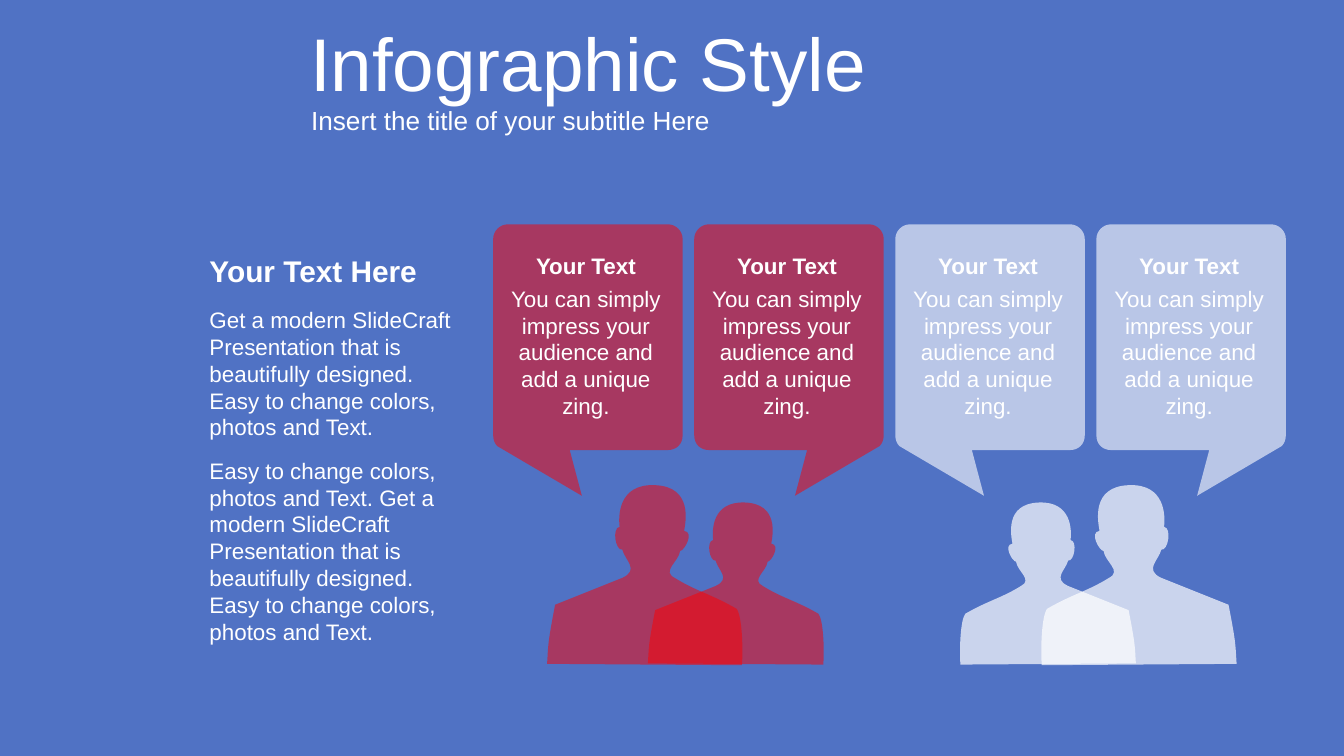
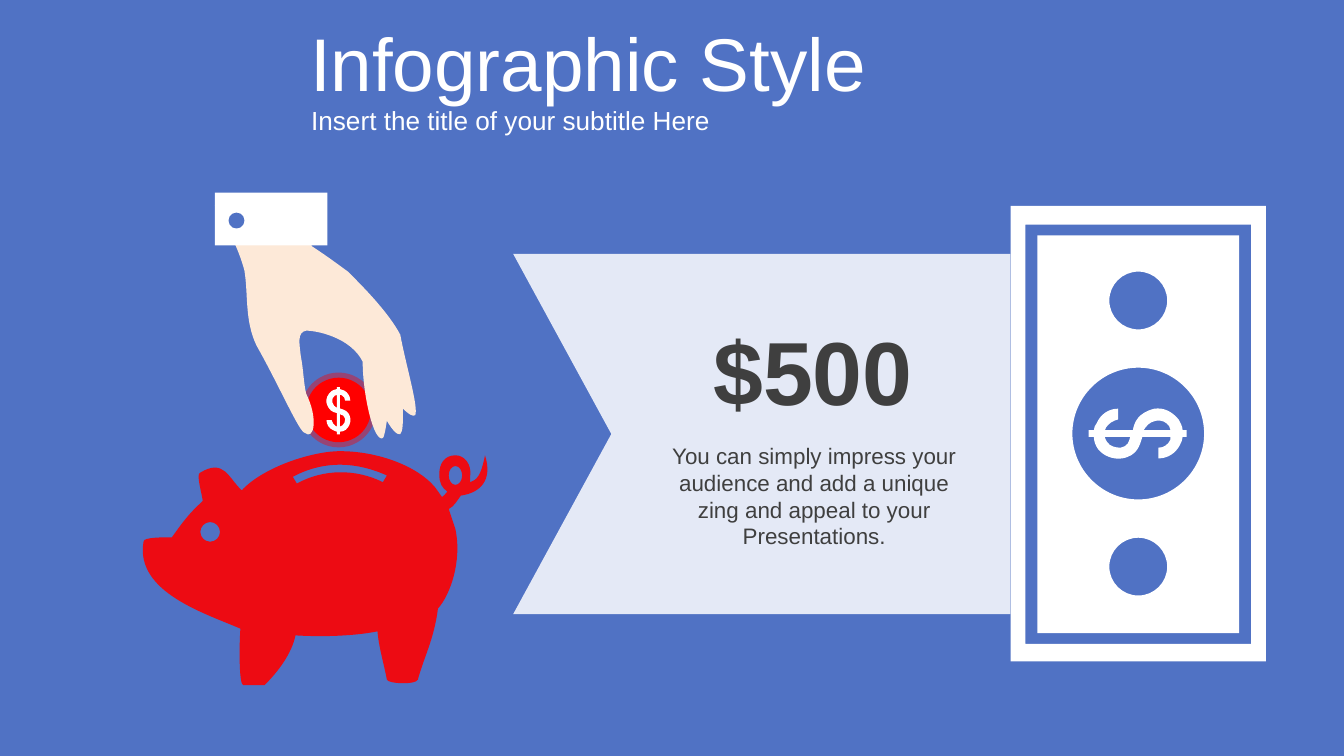
from lxml import etree
from pptx import Presentation
from pptx.dml.color import RGBColor
from pptx.enum.shapes import MSO_SHAPE
from pptx.enum.text import MSO_ANCHOR, MSO_AUTO_SIZE, PP_ALIGN
from pptx.oxml.ns import qn
from pptx.util import Cm, Pt

RECT = MSO_SHAPE.RECTANGLE
OVAL = MSO_SHAPE.OVAL
MIDDLE = MSO_ANCHOR.MIDDLE
FIXED = MSO_AUTO_SIZE.NONE
LEFT = PP_ALIGN.LEFT
CENTER = PP_ALIGN.CENTER

FONT = "Arial"
COLORS = {
    "blue": "5072C4",
    "white": "FFFFFF",
    "red": "FF0000",
    "skin": "FDE9D8",
    "gray": "3F3F3F",
}
UNIT = Cm(0.0254)
BEND = 0.55

PERSON = """M 145 134 C 146 121 145 97 141 92 C 122 81 111 79 95 69
C 85 64 98 57 99 49 C 102 49 110 35 102 34 C 103 28 109 1 80 0
C 53 -1 53 23 54 31 C 48 32 51 49 56 48 C 58 56 69 63 56 69
L 6 89 C 0 120 1 119 0 133"""

BUBBLE = """M 11 0 L 130 0 C 136 0 141 5 141 11 L 141 157
C 141 164 136 168 130 168 L 57 168 L 66 202 L 3 165
C 1 163 0 160 0 157 L 0 11 C 0 5 5 0 11 0"""

PIG = """M 147 10 C 135 10 123 13 112 19 L 115 24 C 135 13 159 13 179 23
L 182 18 C 171 13 159 10 147 10
M 144 0 C 172 -1 204 10 218 27 L 223 34 C 225 33 225 32 227 30
C 223 27 221 24 221 17 C 221 9 225 3 233 3 C 240 3 245 10 244 18
C 244 22 244 20 244 23 C 246 21 251 24 255 3 C 261 22 251 31 237 33
C 234 37 232 41 228 43 L 233 58 C 238 82 229 107 220 117
C 217 140 210 152 205 170 C 203 174 183 173 182 170
C 180 159 176 146 175 134 C 155 138 130 138 114 137
C 111 151 101 164 91 174 L 75 174 C 72 173 72 146 73 132
C 48 121 -6 105 1 67 C 1 64 15 64 22 64 C 30 53 34 47 45 37
C 44 30 40 17 43 16 C 61 5 64 20 74 29 C 90 12 124 1 144 0"""

HAND = """M 72 0 L 72 39 C 81 45 84 47 99 58 C 110 69 129 88 138 105
C 142 127 152 160 149 165 C 147 166 144 164 140 160
C 140 170 140 177 138 179 C 136 180 132 176 128 169
C 127 176 126 181 125 182 C 118 185 110 149 110 125
C 101 107 76 102 68 102 C 61 103 63 112 64 121 C 66 131 66 141 68 149
C 77 167 74 184 67 178 C 63 178 48 143 31 113 C 22 94 25 75 22 57
C 17 39 10 27 0 9"""

DOLLAR = """M 31 21 L 12 21 C 13 23 13 24 14 25 C 16 28 20 29 24 29
C 29 28 30 25 31 21
M 61 16 C 61 15 61 14 60 13 C 58 10 54 8 50 9 C 45 10 43 13 41 16
M 73 16 L 73 21 L 70 21 C 70 23 69 25 68 27 C 65 33 59 37 52 37
L 52 29 C 56 29 59 27 61 23 C 61 23 61 22 61 21 L 40 21
C 38 28 36 35 25 37 C 18 38 11 35 7 30 C 5 27 4 24 4 21 L 0 21
L 0 16 L 4 16 C 4 14 5 12 6 11 C 9 4 15 0 22 0 L 22 8
C 18 9 15 11 13 14 C 13 15 12 16 12 16 L 33 16 C 34 10 37 3 49 0
C 56 -1 62 2 67 8 C 68 10 70 13 70 16"""

BANNER = "M 0 0 L 370 0 L 370 268 L 0 268 L 73 134"


def trace(text):
    loops = []
    for part in text.replace("C", "|C").replace("L", "|L").split("M")[1:]:
        loop = []
        for piece in part.split("|"):
            nums = [float(n) for n in piece.strip("CL \n").split()]
            mark = "C" if piece.startswith("C") else "L"
            loop += [(mark, x, y) for x, y in zip(nums[::2], nums[1::2])]
        loops.append(loop)
    return loops


def ring(x, y, rx, ry):
    loop = [("L", x + rx, y)]
    a, b = 1, 0
    for _ in range(4):
        c, d = -b, a
        for u, v in ((a + BEND * c, b + BEND * d), (c + BEND * a, d + BEND * b), (c, d)):
            loop.append(("C", x + rx * u, y + ry * v))
        a, b = c, d
    return loop


def frame(x, y, w, h):
    return [("L", x, y), ("L", x + w, y), ("L", x + w, y + h), ("L", x, y + h)]


def remap(loops, rule):
    return [[(mark, *rule(x, y)) for mark, x, y in loop] for loop in loops]


def fade(node, alpha):
    if alpha < 100:
        color = next(node.iter(qn("a:srgbClr")))
        etree.SubElement(color, qn("a:alpha")).set("val", str(alpha * 1000))


def paint(shape, tone, alpha=100):
    shape.shadow.inherit = False
    shape.fill.solid()
    shape.fill.fore_color.rgb = RGBColor.from_string(COLORS[tone])
    shape.line.fill.background()
    fade(shape.fill._xPr, alpha)


def curve(shape, loops):
    track = next(shape._element.iter(qn("a:path")))
    nodes = [node for node in track if node.tag != qn("a:close")]
    marks = [mark for loop in loops for mark, _, _ in loop]
    bends = [node for node, mark in zip(nodes, marks) if mark == "C"]
    for i in range(0, len(bends), 3):
        arc = etree.Element(qn("a:cubicBezTo"))
        bends[i].addprevious(arc)
        for node in bends[i:i + 3]:
            arc.append(node[0])
            track.remove(node)


def draw(slide, loops, x, y, tone, alpha=100):
    loops = remap(loops, lambda a, b: (round(a * UNIT), round(b * UNIT)))
    pen = slide.shapes.build_freeform(*loops[0][0][1:])
    for i, loop in enumerate(loops):
        if i:
            pen.move_to(*loop[0][1:])
        pen.add_line_segments([dot[1:] for dot in loop[1:]], close=True)
    shape = pen.convert_to_shape(Cm(x), Cm(y))
    curve(shape, loops)
    paint(shape, tone, alpha)


def form(slide, kind, x, y, w, h, tone):
    shape = slide.shapes.add_shape(kind, Cm(x), Cm(y), Cm(w), Cm(h))
    paint(shape, tone)
    return shape


def style(shape, text, size, tone="white", bold=False, align=LEFT):
    body = shape.text_frame
    body.text = text
    body.word_wrap = True
    body.auto_size = FIXED
    for para in body.paragraphs:
        para.alignment = align
        for run in para.runs:
            run.font.name = FONT
            run.font.size = Pt(size)
            run.font.bold = bold
            run.font.color.rgb = RGBColor.from_string(COLORS[tone])
    return body


def write(slide, text, x, y, w, h, size=12, **look):
    box = slide.shapes.add_textbox(Cm(x), Cm(y), Cm(w), Cm(h))
    return style(box, text, size, **look)


def header(slide, x, y):
    title = slide.shapes.title
    title.left, title.top = Cm(x), Cm(y)
    title.width, title.height = Cm(19.79), Cm(1.68)
    top = style(title, "Infographic Style", 40)
    sub = write(slide, "Insert the title of your subtitle Here",
                x + 0.02, y + 1.55, 19.71, 0.79, 14)
    for body in (top, sub):
        body.vertical_anchor = MIDDLE
        body.margin_left = body.margin_right = Cm(0.25)
        body.margin_top = body.margin_bottom = Cm(0.25)


def pair(slide, x, y, tone, alpha, flip):
    for left, top, scale in ((75, 13, 0.9), (0, 0, 1)):
        def place(a, b):
            a = left + a * scale
            return (206 - a if flip else a), top + b * scale
        draw(slide, remap(trace(PERSON), place), x, y, tone, alpha)


def bubble(slide, x, y, tone, alpha, flip):
    loops = trace(BUBBLE)
    if flip:
        loops = remap(loops, lambda a, b: (141 - a, b))
    draw(slide, loops, x, y, tone, alpha)
    write(slide, "You can simply impress your audience and add a unique zing.",
          x + 0.03, y + 1.02, 3.45, 2.82, align=CENTER)
    write(slide, "Your Text", x + 0.03, y + 0.41, 3.45, 0.76,
          bold=True, align=CENTER)


def story(slide, x, y):
    write(slide, "Your Text Here", x, y, 5.41, 0.94, 16, bold=True)
    write(slide, "Get a modern SlideCraft Presentation that is beautifully "
          "designed.\vEasy to change colors, photos and Text.",
          x, y + 1.01, 5.41, 2.82)
    write(slide, "Easy to change colors, photos and Text. Get a modern "
          "SlideCraft Presentation that is beautifully designed.\v"
          "Easy to change colors, photos and Text.",
          x, y + 3.86, 5.41, 3.84)


def piggy(slide, x, y):
    loops = [ring(50.5, 60, 7.3, 7.3), ring(233, 18, 5, 7)] + trace(PIG)
    draw(slide, loops, x, y, "red", 90)


def coin(slide, x, y):
    disc = form(slide, OVAL, x, y, 1.22, 1.22, "red")
    disc.line.color.rgb = RGBColor.from_string(COLORS["red"])
    disc.line.width = Pt(5.5)
    fade(disc.line._ln, 40)
    sign = remap(trace(DOLLAR), lambda a, b: (b * 0.48, (73 - a) * 0.48))
    draw(slide, sign, x + 0.38, y + 0.18, "white")


def hand(slide, x, y):
    draw(slide, trace(HAND), x, y, "skin")
    form(slide, RECT, x, y - 0.02, 2.13, 1, "white")
    form(slide, OVAL, x + 0.26, y + 0.36, 0.3, 0.3, "blue")


def note(slide, x, y):
    loops = [frame(0, 0, 190, 339), frame(11, 14, 168, 312), frame(20, 22, 150, 296)]
    loops += [ring(95, 169.5 + gap, r, r) for gap, r in ((-99, 21.5), (0, 49), (99, 21.5))]
    loops += remap(trace(DOLLAR), lambda a, b: (a + 58, b + 151))
    draw(slide, loops, x, y, "white")


def offer(slide, x, y):
    draw(slide, trace(BANNER), x, y, "white", 85)
    write(slide, "$500", x + 3.53, y + 1.04, 4.32, 2.31, 48, tone="gray", bold=True)
    write(slide, "You can simply impress your audience and add a unique zing "
          "and appeal to your Presentations.",
          x + 2.59, y + 3.43, 6.2, 2.31, tone="gray", align=CENTER)


def talk(slide):
    pair(slide, 10.34, 9.17, "red", 50, False)
    pair(slide, 18.14, 9.17, "white", 70, True)
    for i in range(4):
        tone, alpha = (("red", 50), ("white", 60))[i // 2]
        bubble(slide, 9.32 + 3.8 * i, 4.24, tone, alpha, i % 2 == 1)
    story(slide, 3.71, 4.65)


def saving(slide):
    piggy(slide, 2.69, 8.53)
    coin(slide, 5.79, 7.14)
    hand(slide, 4.06, 3.66)
    note(slide, 19.1, 3.89)
    offer(slide, 9.7, 4.8)


def main():
    deck = Presentation()
    deck.slide_width, deck.slide_height = Cm(25.4), Cm(14.29)
    back = deck.slide_master.background.fill
    back.solid()
    back.fore_color.rgb = RGBColor.from_string(COLORS["blue"])
    for build in (talk, saving):
        slide = deck.slides.add_slide(deck.slide_layouts[5])
        build(slide)
        header(slide, 5.61, 0.33)
    deck.save("out.pptx")


if __name__ == "__main__":
    main()
